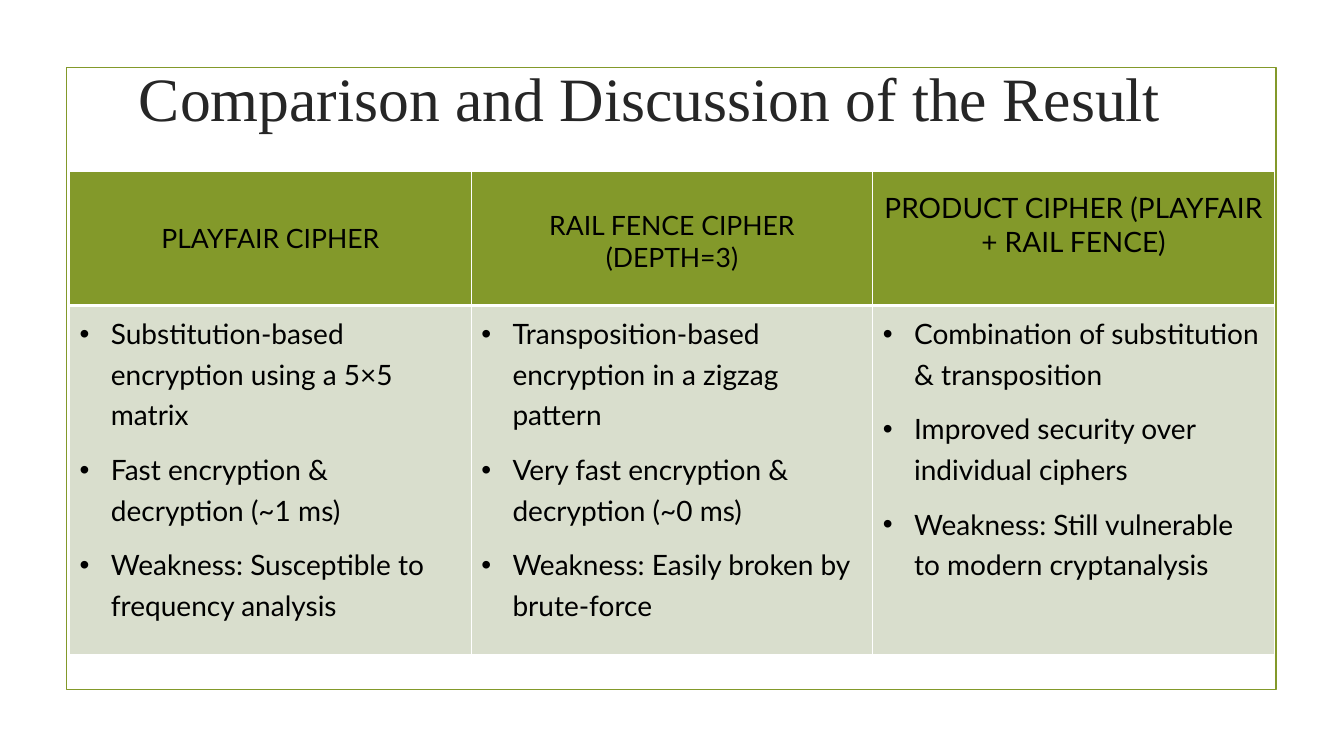
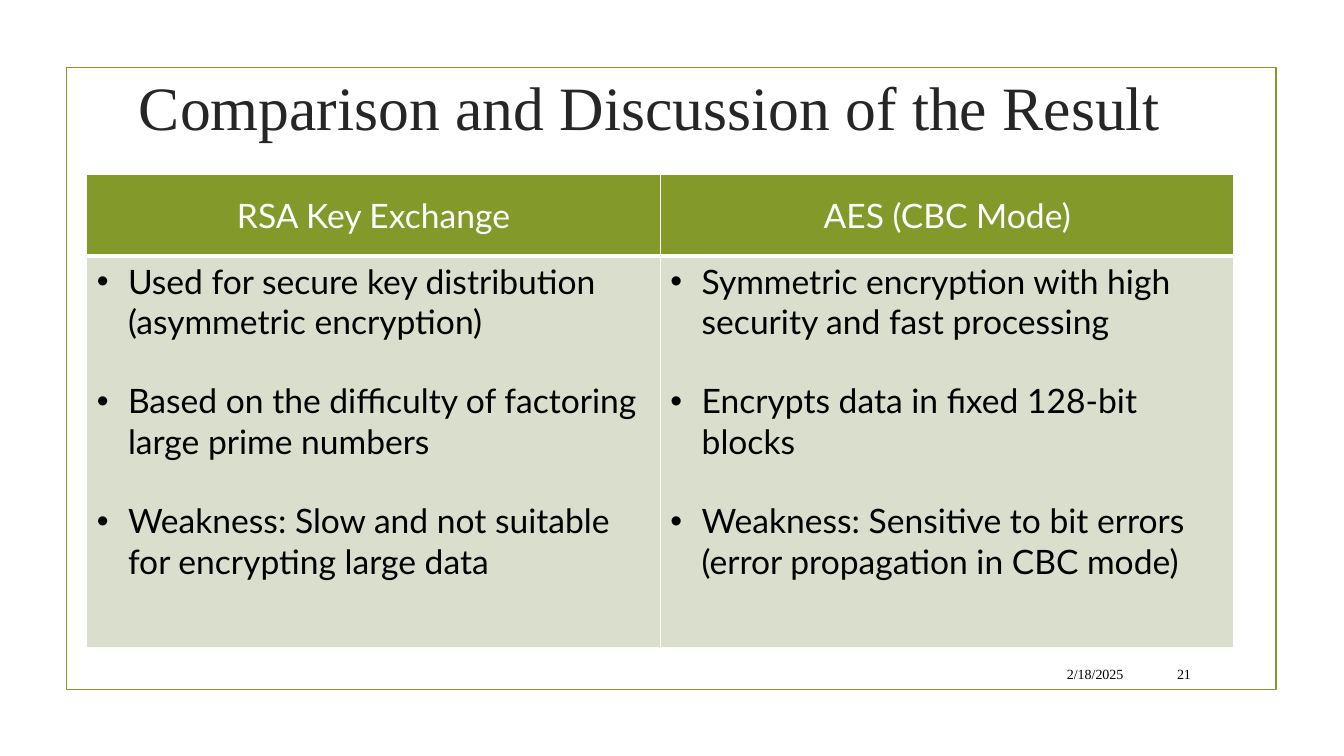
from dataclasses import dataclass

from lxml import etree
from pptx import Presentation
from pptx.dml.color import RGBColor
from pptx.enum import shapes, text
from pptx.oxml import ns
from pptx.util import Inches, Pt


@dataclass(frozen=True)
class Theme:
    green: str = "83992A"
    pale: str = "D9DECD"
    ink: str = "262626"
    black: str = "000000"
    white: str = "FFFFFF"
    serif: str = "Times New Roman"
    sans: str = "Lato"
    title_size: int = 44
    footer_size: int = 10
    frame_width: float = 1.25
    cell_line: float = 1
    header_line: float = 3


T = Theme()
TITLE = "Comparison and Discussion of the Result"


@dataclass
class Header:
    label: str
    size: int
    color: str = T.black
    top: float = 0.05
    bottom: float = 0.05


@dataclass
class BodyStyle:
    size: int
    gap: float
    line_spacing: float = 1.0


def rgb(value):
    return RGBColor.from_string(value)


def add_run(p, content, size, font, color):
    r = p.add_run()
    r.text = content
    r.font.size = Pt(size)
    r.font.name = font
    r.font.color.rgb = rgb(color)


# Shared slide parts
def add_frame(s):
    sp = s.shapes.add_shape(shapes.MSO_SHAPE.RECTANGLE, Inches(0.66),
                            Inches(0.67), Inches(12), Inches(6.17))
    sp.shadow.inherit = False
    sp.fill.background()
    sp.line.color.rgb = rgb(T.green)
    sp.line.width = Pt(T.frame_width)


def add_text(s, content, box, size, color, align):
    tf = s.shapes.add_textbox(*map(Inches, box)).text_frame
    tf.word_wrap = True
    tf.vertical_anchor = text.MSO_ANCHOR.MIDDLE
    p = tf.paragraphs[0]
    p.alignment = align
    add_run(p, content, size, T.serif, color)


def add_footer(s, date, number):
    for content, left, width in ((date, 9.49, 1.75), (number, 11.32, 0.59)):
        add_text(s, content, (left, 6.53, width, 0.31), T.footer_size,
                 T.black, text.PP_ALIGN.RIGHT)


def new_slide(prs, title_top):
    s = prs.slides.add_slide(prs.slide_layouts[6])
    add_frame(s)
    add_text(s, TITLE, (0.97, title_top, 10.96, 1.92), T.title_size, T.ink,
             text.PP_ALIGN.CENTER)
    return s


# Table cells
def style_cell(cell, fill, **widths):
    tc_pr = cell._tc.get_or_add_tcPr()
    for side in "LRTB":
        ln = etree.SubElement(tc_pr, ns.qn(f"a:ln{side}"),
                              w=str(Pt(widths.get(side, T.cell_line))))
        solid = etree.SubElement(ln, ns.qn("a:solidFill"))
        etree.SubElement(solid, ns.qn("a:srgbClr"), val=T.white)
    cell.fill.solid()
    cell.fill.fore_color.rgb = rgb(fill)


def fill_header(cell, header):
    style_cell(cell, T.green, B=T.header_line)
    cell.vertical_anchor = text.MSO_ANCHOR.MIDDLE
    cell.margin_top = Inches(header.top)
    cell.margin_bottom = Inches(header.bottom)
    p = cell.text_frame.paragraphs[0]
    p.alignment = text.PP_ALIGN.CENTER
    add_run(p, header.label, header.size, T.sans, header.color)


def add_bullet(p):
    p_pr = p._p.get_or_add_pPr()
    p_pr.set("marL", str(Inches(0.31)))
    p_pr.set("indent", str(-Inches(0.31)))
    etree.SubElement(p_pr, ns.qn("a:buFont"), typeface="Arial")
    etree.SubElement(p_pr, ns.qn("a:buChar"), char="•")


def fill_body(cell, points, style):
    style_cell(cell, T.pale, T=T.header_line)
    tf = cell.text_frame
    for i, point in enumerate(points):
        p = tf.add_paragraph() if i else tf.paragraphs[0]
        p.line_spacing = style.line_spacing
        p.space_after = Pt(style.gap)
        add_bullet(p)
        add_run(p, point, style.size, T.sans, T.black)


def add_comparison(s, box, row_heights, columns, style):
    left, top, width = map(Inches, box)
    table = s.shapes.add_table(2, len(columns), left, top, width,
                               Inches(sum(row_heights))).table
    table.first_row = table.horz_banding = False
    for row, height in zip(table.rows, row_heights):
        row.height = Inches(height)
    for i, (header, points) in enumerate(columns):
        table.columns[i].width = width // len(columns)
        fill_header(table.cell(0, i), header)
        fill_body(table.cell(1, i), points, style)


# Slides
def classical_ciphers(prs):
    s = new_slide(prs, 0)
    columns = [
        (Header("PLAYFAIR CIPHER", 19),
         ["Substitution-based encryption using a 5×5 matrix",
          "Fast encryption & decryption (~1 ms)",
          "Weakness: Susceptible to frequency analysis"]),
        (Header("RAIL FENCE CIPHER (DEPTH=3)", 19, top=0.1),
         ["Transposition-based encryption in a zigzag pattern",
          "Very fast encryption & decryption (~0 ms)",
          "Weakness: Easily broken by brute-force"]),
        (Header("PRODUCT CIPHER (PLAYFAIR + RAIL FENCE)", 20, bottom=0.33),
         ["Combination of substitution & transposition",
          "Improved security over individual ciphers",
          "Weakness: Still vulnerable to modern cryptanalysis"]),
    ]
    add_comparison(s, (0.69, 1.7, 11.95), (1.33, 3.46), columns,
                   BodyStyle(size=20, gap=10, line_spacing=1.2))


def modern_ciphers(prs):
    s = new_slide(prs, 0.09)
    add_footer(s, "2/18/2025", "21")
    columns = [
        (Header("RSA Key Exchange", 24, T.white),
         ["Used for secure key distribution (asymmetric encryption)",
          "Based on the difficulty of factoring large prime numbers",
          "Weakness: Slow and not suitable for encrypting large data"]),
        (Header("AES (CBC Mode)", 24, T.white),
         ["Symmetric encryption with high security and fast processing",
          "Encrypts data in fixed 128-bit blocks",
          "Weakness: Sensitive to bit errors (error propagation in CBC mode)"]),
    ]
    add_comparison(s, (0.86, 1.73, 11.38), (0.81, 3.88), columns,
                   BodyStyle(size=24, gap=28))


def main():
    prs = Presentation()
    prs.slide_width, prs.slide_height = Inches(13.33), Inches(7.5)
    classical_ciphers(prs)
    modern_ciphers(prs)
    prs.save("out.pptx")


if __name__ == "__main__":
    main()
